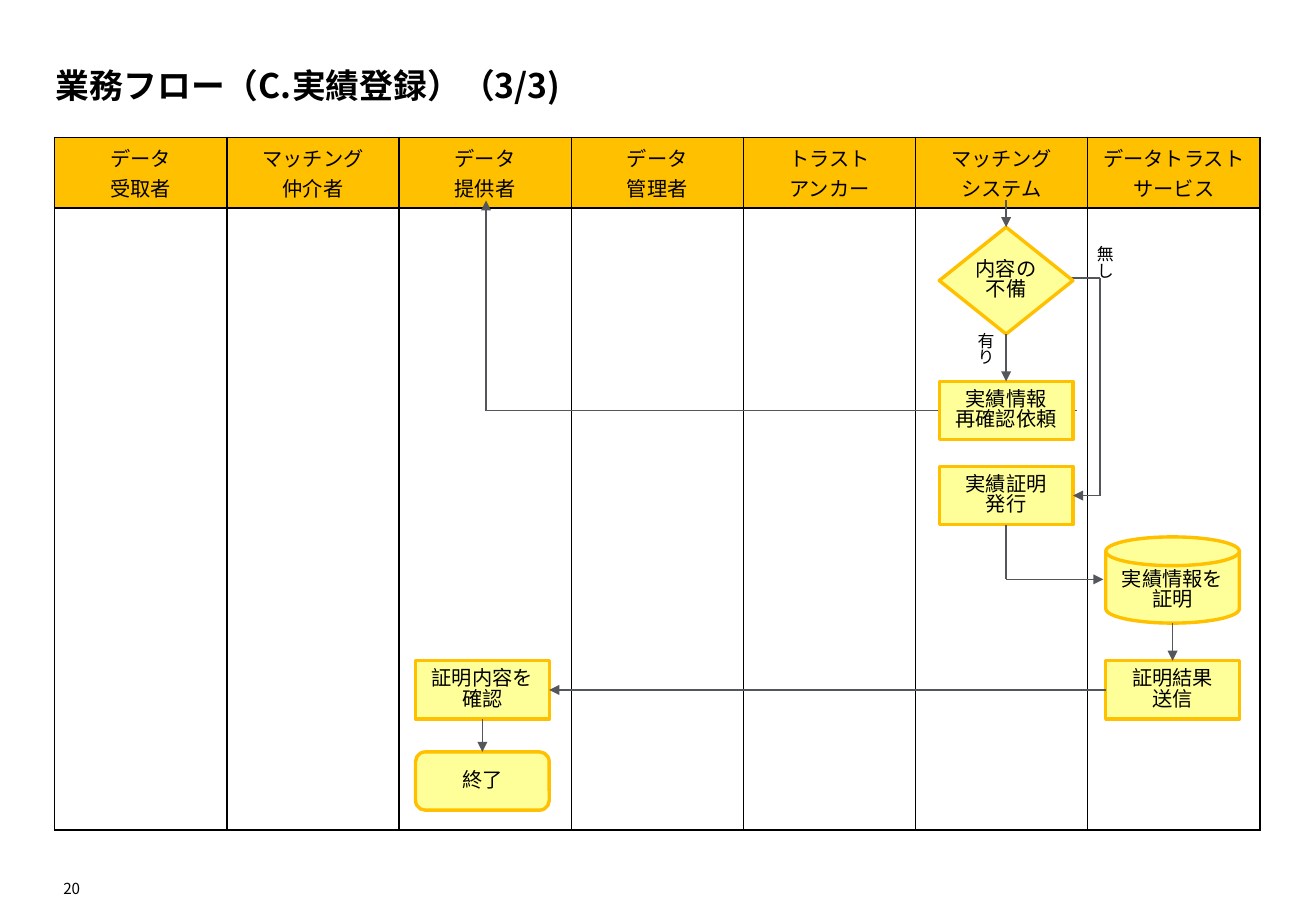
from lxml import etree
from pptx import Presentation
from pptx.dml.color import RGBColor
from pptx.enum.shapes import MSO_CONNECTOR, MSO_SHAPE
from pptx.enum.text import MSO_ANCHOR, PP_ALIGN
from pptx.oxml.ns import qn
from pptx.util import Emu, Pt

PX = 9144  # one hundredth of an inch
STRAIGHT = MSO_CONNECTOR.STRAIGHT
PROCESS = MSO_SHAPE.FLOWCHART_PROCESS
DECISION = MSO_SHAPE.FLOWCHART_DECISION
DISK = MSO_SHAPE.FLOWCHART_MAGNETIC_DISK
TERMINAL = MSO_SHAPE.FLOWCHART_ALTERNATE_PROCESS
TOP, MIDDLE, BOTTOM = MSO_ANCHOR.TOP, MSO_ANCHOR.MIDDLE, MSO_ANCHOR.BOTTOM
LEFT, CENTER, RIGHT = PP_ALIGN.LEFT, PP_ALIGN.CENTER, PP_ALIGN.RIGHT
SIDE_TOP, SIDE_LEFT, SIDE_BOTTOM, SIDE_RIGHT = range(4)

FONT = "Noto Sans CJK JP"
BLACK, AMBER, PALE_YELLOW, GRAY = "000000", "FFC000", "FFFF99", "53565A"
BOX_WIDTH, BOX_HEIGHT = 110, 48
PROVIDER_X, SYSTEM_X, TRUST_X = 342, 773, 910

LANES = ["データ\n受取者", "マッチング\n仲介者", "データ\n提供者", "データ\n管理者",
         "トラスト\nアンカー", "マッチング\nシステム", "データトラスト\nサービス"]

# name: (preset, left, top, height, text)
STEPS = {
    "check": (DECISION, SYSTEM_X, 187, 88, "内容の\n不備"),
    "recheck": (PROCESS, SYSTEM_X, 314, BOX_HEIGHT, "実績情報\n再確認依頼"),
    "issue": (PROCESS, SYSTEM_X, 384, BOX_HEIGHT, "実績証明\n発行"),
    "certify": (DISK, TRUST_X, 442, 71, "実績情報を\n証明"),
    "send": (PROCESS, TRUST_X, 544, BOX_HEIGHT, "証明結果\n送信"),
    "confirm": (PROCESS, PROVIDER_X, 544, BOX_HEIGHT, "証明内容を\n確認"),
    "finish": (TERMINAL, PROVIDER_X, 619, BOX_HEIGHT, "終了"),
}

# (start, end, arrow)
BACK_LINES = [
    ((886, 338), (399, 338), False),
    ((400, 338), (400, 165), True),
    ((905, 229), (877, 229), False),
    ((905, 229), (905, 408), False),
]
# an end is a point or a (step name, side) pair
FRONT_LINES = [
    ((828, 165), ("check", SIDE_TOP), True),
    (("check", SIDE_BOTTOM), ("recheck", SIDE_TOP), True),
    ((905, 408), ("issue", SIDE_RIGHT), True),
    (("issue", SIDE_BOTTOM), (828, 477), False),
    ((828, 477), (908, 477), True),
    ((965, 513), ("send", SIDE_TOP), True),
    (("send", SIDE_LEFT), ("confirm", SIDE_RIGHT), True),
    (("confirm", SIDE_BOTTOM), ("finish", SIDE_TOP), True),
]


def px(*values):
    return [Emu(value * PX) for value in values]


def color(value):
    return RGBColor.from_string(value)


def write_text(frame, paragraphs, size, align=CENTER, spacing=None, font=FONT, bold=False):
    """Fill a frame; a line feed inside a paragraph becomes a line break."""
    for index, text in enumerate(paragraphs):
        para = frame.add_paragraph() if index else frame.paragraphs[0]
        para.text = text
        para.alignment = align
        para.line_spacing = spacing
        for span in para.runs:
            for name, value in {"name": font, "size": Pt(size), "bold": bold}.items():
                setattr(span.font, name, value)
            span.font.color.rgb = color(BLACK)
            east_asian = etree.SubElement(span.font._element, qn("a:ea"))
            east_asian.set("typeface", FONT)


def format_frame(frame, anchor, inset, wrap):
    margin = px(inset)[0]
    settings = {"vertical_anchor": anchor, "word_wrap": wrap}
    settings.update({f"margin_{side}": margin for side in ("left", "top", "right", "bottom")})
    for name, value in settings.items():
        setattr(frame, name, value)


def add_text(page, bounds, text, size, align, wrap, bold=False):
    frame = page.shapes.add_textbox(*px(*bounds)).text_frame
    format_frame(frame, BOTTOM, 0, wrap)
    write_text(frame, [text], size, align, bold=bold)


def add_step(page, preset, left, top, height, text):
    box = page.shapes.add_shape(preset, *px(left, top, BOX_WIDTH, height))
    box.shadow.inherit = False
    box.fill.solid()
    box.fill.fore_color.rgb = color(PALE_YELLOW)
    box.line.color.rgb = color(AMBER)
    box.line.width = Pt(2)
    format_frame(box.text_frame, TOP if preset == DISK else MIDDLE, 4, False)
    write_text(box.text_frame, [text], 12, spacing=0.83)
    return box


def add_branch_label(page, left, top, text):
    label = page.shapes.add_shape(PROCESS, *px(left, top, 31, 25))
    label.shadow.inherit = False
    label.fill.background()
    label.line.fill.background()
    format_frame(label.text_frame, MIDDLE, 4, True)
    write_text(label.text_frame, [text], 10, spacing=0.83)


def add_line(page, steps, start, end, arrow):
    start_step, end_step = steps.get(start[0]), steps.get(end[0])
    first = (0, 0) if start_step else start
    last = (0, 0) if end_step else end
    line = page.shapes.add_connector(STRAIGHT, *px(*first, *last))
    if start_step:
        line.begin_connect(start_step, start[1])
    if end_step:
        line.end_connect(end_step, end[1])
    line.line.color.rgb = color(GRAY)
    line.line.width = Pt(1)
    if arrow:
        etree.SubElement(line.line._get_or_add_ln(), qn("a:tailEnd")).set("type", "triangle")
    etree.SubElement(line._element.spPr, qn("a:effectLst"))


def border_cell(cell):
    properties = cell._tc.get_or_add_tcPr()
    for index, side in enumerate(("lnL", "lnR", "lnT", "lnB")):
        border = etree.Element(qn(f"a:{side}"), w=str(Pt(1)))
        fill = etree.SubElement(border, qn("a:solidFill"))
        etree.SubElement(fill, qn("a:srgbClr")).set("val", BLACK)
        properties.insert(index, border)


def add_lanes(page):
    table = page.shapes.add_table(2, len(LANES), *px(45, 113, 992, 570)).table
    table.first_row = table.horz_banding = False
    for row, height in zip(table.rows, px(58, 512)):
        row.height = height
    for index, lane in enumerate(LANES):
        table.columns[index].width = Emu(992 * PX // len(LANES))
        header, body = table.cell(0, index), table.cell(1, index)
        header.fill.solid()
        header.fill.fore_color.rgb = color(AMBER)
        header.vertical_anchor = MIDDLE
        write_text(header.text_frame, lane.split("\n"), 12, font="Arial")
        body.fill.background()
        border_cell(header)
        border_cell(body)


def main():
    deck = Presentation()
    deck.slide_width, deck.slide_height = px(1083, 750)
    page = deck.slides.add_slide(deck.slide_layouts[6])
    add_lanes(page)
    add_text(page, (46, 20, 862, 67), "業務フロー（C.実績登録）（3/3)", 20, LEFT, True, bold=True)
    for line in BACK_LINES:
        add_line(page, {}, *line)
    add_branch_label(page, 796, 276, "有り")
    add_branch_label(page, 894, 205, "無し")
    steps = {name: add_step(page, *step) for name, step in STEPS.items()}
    for line in FRONT_LINES:
        add_line(page, steps, *line)
    add_text(page, (46, 720, 20, 19), "20", 9, RIGHT, False)
    deck.save("out.pptx")


if __name__ == "__main__":
    main()
